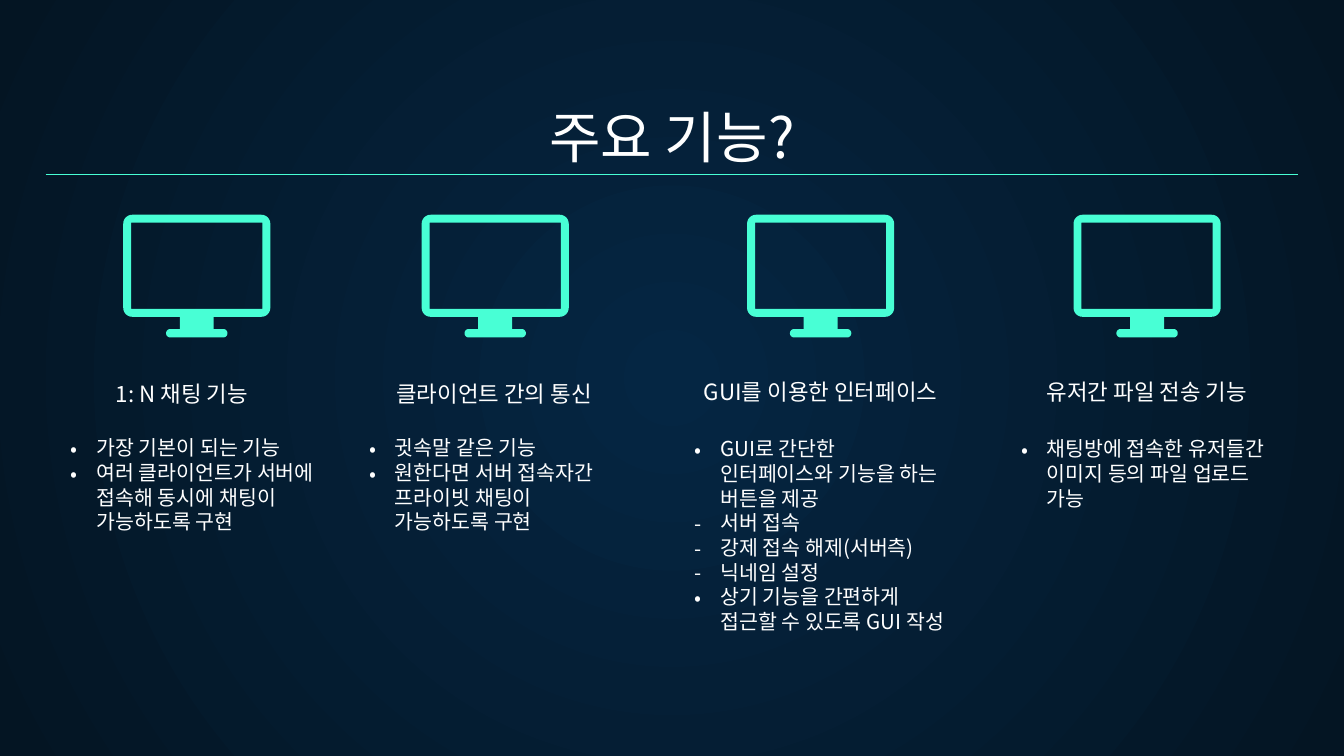
from dataclasses import dataclass
from math import cos, radians, sin

from lxml.etree import SubElement
from pptx import Presentation
from pptx.dml.color import RGBColor
from pptx.enum.shapes import MSO_CONNECTOR
from pptx.enum.text import MSO_ANCHOR, MSO_AUTO_SIZE, PP_ALIGN
from pptx.oxml import parse_xml
from pptx.oxml.ns import nsdecls, qn
from pptx.util import Cm, Pt


@dataclass(frozen=True)
class Theme:
    font: str = "Noto Sans CJK KR"
    text: RGBColor = RGBColor.from_string("FFFFFF")
    accent: RGBColor = RGBColor.from_string("48FFD5")
    glow: RGBColor = RGBColor.from_string("052643")
    edge: RGBColor = RGBColor.from_string("041523")
    title_size: int = 30
    heading_size: int = 12
    list_size: int = 11


theme = Theme()


def write(box, lines, size, anchor, align):
    """Fill a text box or placeholder, one paragraph per line."""
    frame = box.text_frame
    frame.word_wrap = True
    frame.auto_size = MSO_AUTO_SIZE.NONE
    frame.vertical_anchor = anchor
    frame.margin_left = frame.margin_right = Cm(0.25)
    frame.margin_top = frame.margin_bottom = Cm(0.25)
    for number, line in enumerate(lines):
        para = frame.add_paragraph() if number else frame.paragraphs[0]
        para.alignment = align
        para.space_before = para.space_after = Pt(0)
        span = para.add_run()
        span.text = line
        span.font.size = Pt(size)
        span.font.bold = False
        span.font.color.rgb = theme.text
        span.font.name = theme.font
        SubElement(span.font._element, qn("a:ea"), typeface=theme.font)


def arc(x, y, radius, start, end):
    """Points on an arc, in steps of 15 degrees."""
    return [(x + radius * cos(radians(a)), y + radius * sin(radians(a)))
            for a in range(start, end + 1, 15)]


# Columns: centre, heading centre, heading top, list top, heading, list items
columns = [
    (3.72, 3.44, 7.42, 7.98, "1: N 채팅 기능", [
        ("•", "가장 기본이 되는 기능"),
        ("•", "여러 클라이언트가 서버에 접속해 동시에 채팅이 가능하도록 구현"),
    ]),
    (9.36, 9.34, 7.42, 7.98, "클라이언트 간의 통신", [
        ("•", "귓속말 같은 기능"),
        ("•", "원한다면 서버 접속자간 프라이빗 채팅이 가능하도록 구현"),
    ]),
    (15.51, 15.51, 7.37, 8.0, "GUI를 이용한 인터페이스", [
        ("•", "GUI로 간단한 인터페이스와 기능을 하는 버튼을 제공"),
        ("-", "서버 접속"),
        ("-", "강제 접속 해제(서버측)"),
        ("-", "닉네임 설정"),
        ("•", "상기 기능을 간편하게 접근할 수 있도록 GUI 작성"),
    ]),
    (21.68, 21.68, 7.37, 8.0, "유저간 파일 전송 기능", [
        ("•", "채팅방에 접속한 유저들간 이미지 등의 파일 업로드 가능"),
    ]),
]

# Deck and page: the Comparison layout has a title and four bodies
deck = Presentation()
deck.slide_width, deck.slide_height = Cm(25.4), Cm(14.29)
page = deck.slides.add_slide(deck.slide_layouts[4])

# Radial background
backdrop = page.background.fill
backdrop.gradient()
for stop, color in zip(backdrop.gradient_stops, (theme.glow, theme.edge)):
    stop.color.rgb = color
gradient = page._element.find(".//" + qn("a:gradFill"))
gradient.replace(gradient.find(qn("a:lin")), parse_xml(
    f'<a:path {nsdecls("a")} path="circle">'
    '<a:fillToRect l="50000" t="50000" r="50000" b="50000"/></a:path>'))

# Title and rule
title = page.shapes.title
title.left, title.top, title.width, title.height = Cm(0.86), Cm(1.78), Cm(23.68), Cm(1.68)
write(title, ["주요 기능?"], theme.title_size, MSO_ANCHOR.BOTTOM, PP_ALIGN.CENTER)
rule = page.shapes.add_connector(
    MSO_CONNECTOR.STRAIGHT, Cm(0.86), Cm(3.3), Cm(24.54), Cm(3.3))
rule.line.color.rgb = theme.accent
rule.line.width = Pt(0.75)
SubElement(rule._element.spPr, qn("a:effectLst"))

# Monitor outline around its vertical axis: right half, then its mirror
half = (arc(1.22, 0.17, 0.17, -90, 0) + arc(1.22, 1.76, 0.17, 0, 90)
        + [(0.32, 1.93), (0.32, 2.16)] + arc(0.5, 2.24, 0.08, -90, 90))
outline = half + [(-x, y) for x, y in reversed(half)]
screen = [(-1.24, 0.15), (-1.24, 1.78), (1.24, 1.78), (1.24, 0.15)]
monitor_top = 4.06

bodies = [box for box in page.placeholders if box.placeholder_format.idx in (1, 2, 3, 4)]
for body, (centre, heading_centre, heading_top, list_top, heading, items) in zip(bodies, columns):
    # Monitor icon
    frame_points, screen_points = (
        [(Cm(centre + x), Cm(monitor_top + y)) for x, y in points]
        for points in (outline, screen))
    builder = page.shapes.build_freeform(*frame_points[0])
    builder.add_line_segments(frame_points[1:], close=True)
    builder.move_to(*screen_points[0])
    builder.add_line_segments(screen_points[1:], close=True)
    monitor = builder.convert_to_shape()
    monitor.shadow.inherit = False
    monitor.fill.solid()
    monitor.fill.fore_color.rgb = theme.accent
    monitor.line.fill.background()

    # Heading
    box = page.shapes.add_textbox(Cm(heading_centre - 2.88), Cm(heading_top), Cm(5.76), Cm(0.53))
    write(box, [heading], theme.heading_size, MSO_ANCHOR.BOTTOM, PP_ALIGN.CENTER)

    # Bulleted list
    body.left, body.top, body.width, body.height = Cm(centre - 2.63), Cm(list_top), Cm(5.26), Cm(1.4)
    write(body, [line for _, line in items], theme.list_size, MSO_ANCHOR.TOP, PP_ALIGN.LEFT)
    for para, (mark, _) in zip(body.text_frame.paragraphs, items):
        props = para._element.get_or_add_pPr()
        props.set("marL", str(Cm(0.48)))
        props.set("indent", str(-Cm(0.48)))
        bullet_color = SubElement(props, qn("a:buClr"))
        SubElement(bullet_color, qn("a:srgbClr"), val=str(theme.text))
        SubElement(props, qn("a:buFont"), typeface=theme.font)
        SubElement(props, qn("a:buChar"), char=mark)

deck.save("out.pptx")
